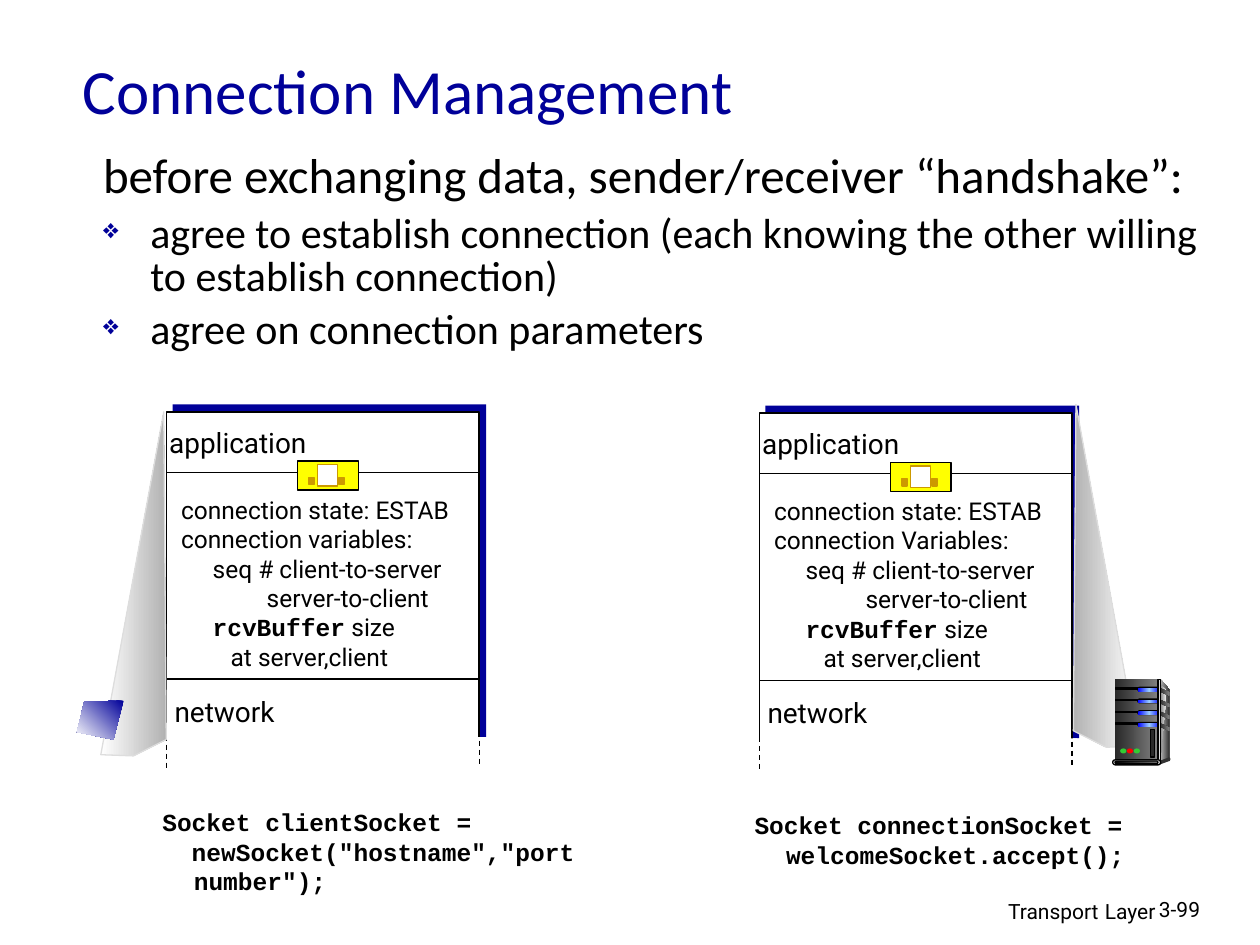
from lxml.etree import SubElement
from pptx import Presentation
from pptx.dml.color import RGBColor
from pptx.enum.dml import MSO_LINE
from pptx.enum.shapes import MSO_CONNECTOR, MSO_SHAPE
from pptx.enum.text import MSO_ANCHOR, PP_ALIGN
from pptx.oxml.ns import qn
from pptx.util import Pt

RECT, PILL, OVAL = MSO_SHAPE.RECTANGLE, MSO_SHAPE.ROUNDED_RECTANGLE, MSO_SHAPE.OVAL
NAVY, BLACK, WHITE, GOLD = "000099", "000000", "FFFFFF", "CC9900"
SANS, BODY, CODE = "Roboto", "Calibri", "Courier New"
STEEL = ["292929", "808080"]
GLOW = ["0000FF", "99CCFF", "0000FF"]


def tint(code):
    return RGBColor.from_string(code)


def blend(shape, codes, angle):
    shape.fill.gradient()
    shape.fill.gradient_angle = -angle % 360
    stops = shape._element.spPr.find(qn("a:gradFill")).find(qn("a:gsLst"))
    for stop in list(stops):
        stops.remove(stop)
    for i, code in enumerate(codes):
        stop = SubElement(stops, qn("a:gs"), pos=str(100000 * i // (len(codes) - 1)))
        SubElement(stop, qn("a:srgbClr"), val=code)


def paint(shape, fill, line=None, angle=0):
    shape.shadow.inherit = False
    if isinstance(fill, list):
        blend(shape, fill, angle)
    else:
        shape.fill.solid()
        shape.fill.fore_color.rgb = tint(fill)
    if line:
        shape.line.color.rgb = tint(line)
        shape.line.width = Pt(0.75)
    else:
        shape.line.fill.background()


def block(shapes, area, fill, line=None, kind=RECT):
    shape = shapes.add_shape(kind, *map(Pt, area))
    if kind == PILL:
        shape.adjustments[0] = 0.5
    paint(shape, fill, line)


def poly(shapes, points, fill, line=None, angle=0):
    start, *rest = [(Pt(x), Pt(y)) for x, y in points]
    path = shapes.build_freeform(*start)
    path.add_line_segments(rest, close=True)
    paint(path.convert_to_shape(), fill, line, angle)


def rule(shapes, x1, y1, x2, y2, dash=False):
    line = shapes.add_connector(MSO_CONNECTOR.STRAIGHT, *map(Pt, (x1, y1, x2, y2)))
    line.line.color.rgb = tint(BLACK)
    line.line.width = Pt(0.75)
    if dash:
        line.line.dash_style = MSO_LINE.DASH
    SubElement(line._element.spPr, qn("a:effectLst"))


def style(font, size, face, bold=False, color=BLACK):
    font.size = Pt(size)
    font.name = face
    font.bold = bold
    font.color.rgb = tint(color)


def frame(shapes, area, wrap=True):
    text = shapes.add_textbox(*map(Pt, area)).text_frame
    text.word_wrap = wrap
    return text


def indent(para, left, first):
    props = para._p.get_or_add_pPr()
    props.set("marL", str(Pt(left)))
    props.set("indent", str(Pt(first)))
    return props


def write(text, words, size, face, bold=False, color=BLACK, left=0, first=0, bullet=False):
    para = text.paragraphs[0]
    if para.runs:
        para = text.add_paragraph()
    props = indent(para, left, first)
    if bullet:
        SubElement(SubElement(props, qn("a:buClr")), qn("a:srgbClr"), val=NAVY)
        SubElement(props, qn("a:buSzPct"), val="65000")
        SubElement(props, qn("a:buChar"), char="❖")
    if isinstance(words, str):
        para.add_run().text = words
        style(para.font, size, face, bold, color)
    else:
        for part, *look in words:
            run = para.add_run()
            run.text = part
            style(run.font, *look)
    return para


def label(shapes, area, words, size, align=PP_ALIGN.CENTER):
    write(frame(shapes, area, False), words, size, SANS).alignment = align


def intro(shapes):
    title = frame(shapes, (40.3, 15.1, 612, 72))
    title.vertical_anchor = MSO_ANCHOR.MIDDLE
    write(title, "Connection Management", 36, BODY, color=NAVY)
    text = frame(shapes, (51.8, 84.2, 656.6, 172))
    head = write(text, "before exchanging data, sender/receiver “handshake”:", 28, BODY,
                 left=27, first=-27)
    head.line_spacing = 0.85
    for words in ("agree to establish connection (each knowing the other willing "
                  "to establish connection)", "agree on connection parameters"):
        para = write(text, words, 24, BODY, left=27, first=-27, bullet=True)
        para.line_spacing = 0.85
        para.space_before = Pt(6)


def socket(shapes, x, y):
    group = shapes.add_group_shape().shapes
    block(group, (x, y, 34.6, 16.6), "FFFF00", BLACK)
    block(group, (x + 11.5, y + 2.1, 11.5, 12.2), WHITE, GOLD)
    for dx in (6.5, 23.7):
        block(group, (x + dx, y + 9.3, 2.9, 4.3), GOLD, GOLD)


def host(shapes, x, y, noun, gap):
    block(shapes, (x + 3.4, y - 4.3, 179.3, 190), NAVY)
    block(shapes, (x, y, 178.6, 194.4), WHITE, BLACK)
    for dy in (34.6, 152.6):
        rule(shapes, x, y + dy, x + 179, y + dy)
    text = frame(shapes, (x + 1.2, y + 43.8, 183.6, 125.3))
    for words, left in (("connection state: ESTAB", 0), (f"connection {noun}:", 0),
                        ("seq # client-to-server", 18), ("server-to-client", gap),
                        ([("rcvBuffer", 14, CODE, True), (" size", 14, SANS)], 18),
                        ("at server,client", 28.3)):
        write(text, words, 14, SANS, left=left)
    socket(shapes, x + 74.9, y + 28.1)
    label(shapes, (x - 7.9, y + 4.3, 97.2, 26.6), "application", 16)
    label(shapes, (x - 5, y + 157.7, 76.3, 26.6), "network", 16)
    block(shapes, (x - 2.2, y + 185.8, 183.6, 14.4), WHITE)
    rule(shapes, x, y + 185, x, y + 203.6, True)
    rule(shapes, x + 178.6, y + 182.6, x + 178.6, y + 201.4, True)


def server(shapes):
    group = shapes.add_group_shape().shapes
    poly(group, [(663.1, 388.1), (668.2, 393.8), (668.2, 432.7), (661.7, 434.9)],
         ["DDDDDD", "333333"])
    block(group, (637.2, 388.1, 24.5, 46.8), STEEL)
    poly(group, [(663.1, 391), (666.7, 394.6), (663.1, 433.4)], ["808080", "F8F8F8"])
    for i in range(4):
        y = 393.1 + 6.7 * i
        block(group, (637.5, y, 13.7, 0.7), BLACK, BLACK)
        block(group, (649.8, y - 0.7, 13.7, 2.9), BLACK, kind=PILL)
        block(group, (650.2, y, 13, 2.2), GLOW, kind=PILL)
        poly(group, [(662.7, y), (668.2, y + 2.4), (668.2, y + 4.4), (662.7, y + 2)], STEEL)
    block(group, (661.7, 388.1, 1.4, 46.8), ["333333", "DDDDDD", "333333"], BLACK)
    block(group, (667.4, 432.7, 1.4, 2.2), "333333", kind=OVAL)
    poly(group, [(662.4, 434.9), (662.4, 437), (668.2, 434.9), (668.2, 432.7)], "333333")
    block(group, (635.8, 434.2, 27.4, 2.9), "DDDDDD", BLACK, PILL)
    block(group, (637.2, 434.9, 24.5, 1.4), [BLACK, "808080"], BLACK, PILL)
    for x, color in ((640.1, "33CC33"), (643.9, "FF0000"), (647.8, "33CC33")):
        block(group, (x, 427.7, 3.6, 2.9), color, kind=OVAL)
    block(group, (657.4, 416.9, 2.2, 15.8), "292929", BLACK)


def main():
    deck = Presentation()
    deck.slide_width, deck.slide_height = Pt(720), Pt(540)
    shapes = deck.slides.add_slide(deck.slide_layouts[6]).shapes

    label(shapes, (439.2, 507.6, 228.2, 22.3),
          [("Transport", 12, SANS), (" ", 14, SANS), ("Layer", 12, SANS)], 12, PP_ALIGN.RIGHT)
    label(shapes, (655.2, 509, 53.3, 21.6), "3-99", 12, PP_ALIGN.LEFT)
    intro(shapes)

    host(shapes, 95.2, 235.4, "variables", 48.9)
    poly(shapes, [(57.6, 431.3), (93.6, 235.4), (95, 422.6), (76.3, 432)],
         [WHITE, "B2B2B2"], "DDDDDD")
    host(shapes, 434, 236.1, "Variables", 52.3)
    poly(shapes, [(650.2, 426.2), (614.9, 231.1), (613.4, 417.6), (632.2, 427)],
         ["B2B2B2", WHITE], "DDDDDD")

    client = frame(shapes, (85.7, 457.9, 257, 57.6))
    write(client, "Socket clientSocket =", 14, CODE, True, left=18, first=-18)
    write(client, 'newSocket("hostname","port number");', 14, CODE, True, left=18, first=-1.2)
    welcome = frame(shapes, (424.1, 459.4, 257, 41))
    write(welcome, "Socket connectionSocket = welcomeSocket.accept();", 14, CODE, True,
          left=18, first=-18)

    poly(shapes, [(70.6, 400.3), (48.2, 401), (43.9, 418.3), (64.8, 422.6)],
         [NAVY, WHITE], angle=135)
    server(shapes)
    deck.save("out.pptx")


if __name__ == "__main__":
    main()
